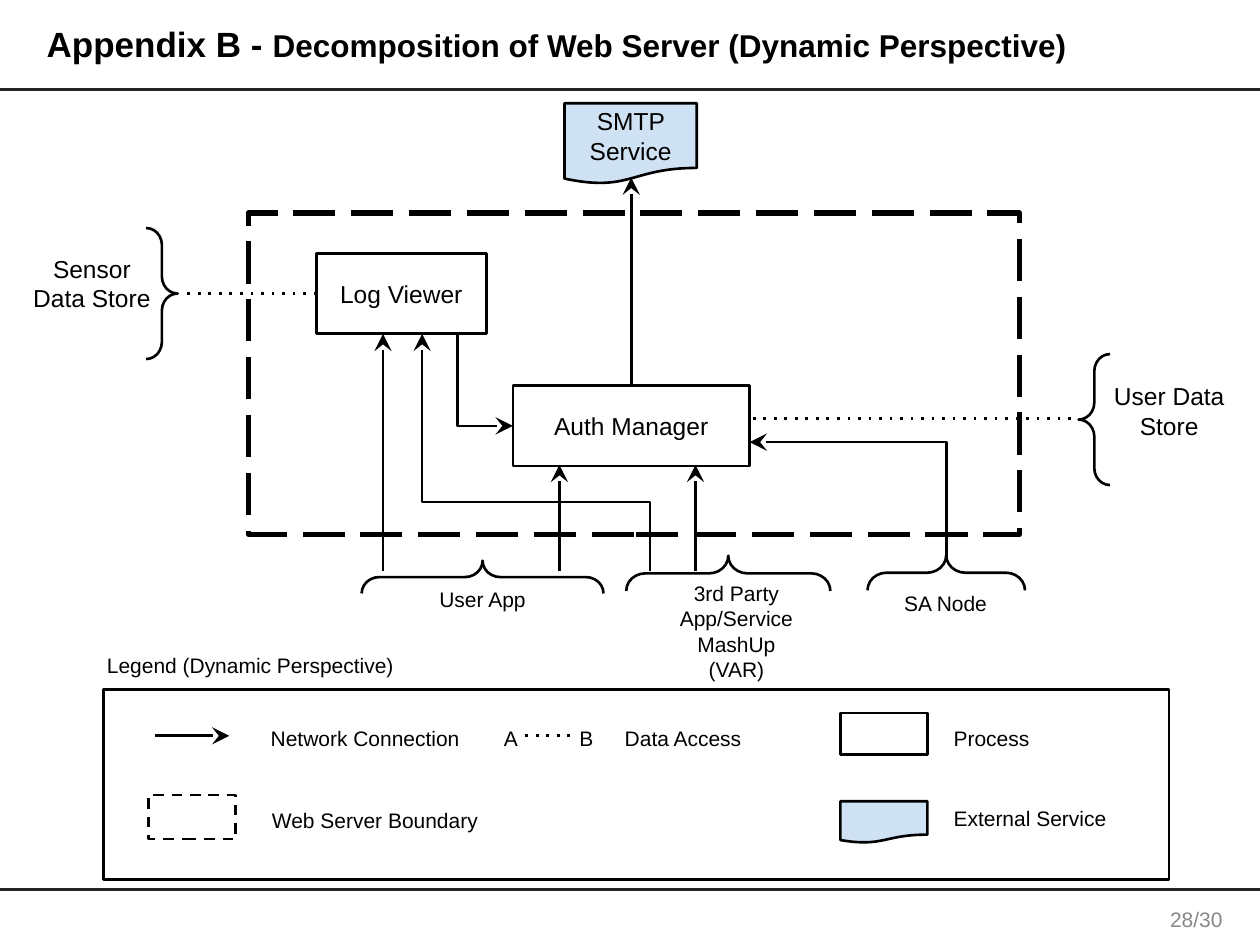
from lxml import etree
from pptx import Presentation, util as u
from pptx.dml.color import RGBColor
from pptx.enum import shapes, text
from pptx.oxml.ns import qn

COLORS = {"ink": "000000", "rule": "262626", "paper": "FFFFFF",
          "service": "CFE2F3", "number": "888888"}
SHAPE = shapes.MSO_SHAPE
LEFT, CENTER = text.PP_ALIGN.LEFT, text.PP_ALIGN.CENTER
TOP, MIDDLE = text.MSO_ANCHOR.TOP, text.MSO_ANCHOR.MIDDLE


class Diagram:
    """Draws the elements of the diagram on one slide in one style."""

    def __init__(self, prs):
        self.s = prs.slides.add_slide(prs.slide_layouts[5])
        self.font = "Arial"

    def color(self, name):
        return RGBColor.from_string(COLORS[name])

    def format_run(self, r, size, color="ink", bold=False):
        r.font.name, r.font.size, r.font.bold = self.font, u.Pt(size), bold
        r.font.color.rgb = self.color(color)

    def frame(self, sp, anchor, inset=0.1):
        tf = sp.text_frame
        tf.word_wrap, tf.vertical_anchor = True, anchor
        tf.auto_size = text.MSO_AUTO_SIZE.NONE
        tf.margin_left = tf.margin_right = u.Inches(0.1)
        tf.margin_top = tf.margin_bottom = u.Inches(inset)
        return tf

    def set_text(self, sp, words, size, align, anchor, color="ink", inset=0.1):
        tf = self.frame(sp, anchor, inset)
        tf.text = words
        for p in tf.paragraphs:
            p.alignment = align
            for r in p.runs:
                self.format_run(r, size, color)

    def title(self, box, parts):
        sp = self.s.shapes.title
        sp.left, sp.top, sp.width, sp.height = map(u.Inches, box)
        p = self.frame(sp, MIDDLE).paragraphs[0]
        p.alignment, p.line_spacing = LEFT, 0.9
        for words, size in parts:
            r = p.add_run()
            r.text = words
            self.format_run(r, size, bold=True)

    def stroke(self, sp, width=1.5, dash=None, arrow=False, color="ink"):
        sp.line.color.rgb = self.color(color)
        sp.line.width = u.Pt(width)
        ln = sp._element.spPr.find(qn("a:ln"))
        if dash:
            etree.SubElement(ln, qn("a:prstDash"), val=dash)
        etree.SubElement(ln, qn("a:round"))
        if arrow:
            etree.SubElement(ln, qn("a:tailEnd"), type="stealth", w="lg", len="lg")

    def shape(self, box, kind=SHAPE.RECTANGLE, fill=None, words="", size=14,
              width=1.5, dash=None):
        sp = self.s.shapes.add_shape(kind, *map(u.Inches, box))
        sp.shadow.inherit = False
        if fill:
            sp.fill.solid()
            sp.fill.fore_color.rgb = self.color(fill)
        else:
            sp.fill.background()
        if width:
            self.stroke(sp, width, dash)
        else:
            sp.line.fill.background()
        if words:
            self.set_text(sp, words, size, CENTER, MIDDLE)
        return sp

    def brace(self, box, rotation=0):
        sp = self.shape(box, SHAPE.RIGHT_BRACE)
        sp.adjustments[0], sp.adjustments[1] = 0.54, 0.5
        sp.rotation = rotation

    def label(self, box, words, size=12, align=LEFT, anchor=TOP, color="ink", inset=0.1):
        sp = self.s.shapes.add_textbox(*map(u.Inches, box))
        self.set_text(sp, words, size, align, anchor, color, inset)

    def line(self, start, end, kind=shapes.MSO_CONNECTOR.STRAIGHT, **style):
        sp = self.s.shapes.add_connector(kind, *map(u.Inches, (*start, *end)))
        self.stroke(sp, **style)
        etree.SubElement(sp._element.spPr, qn("a:effectLst"))
        return sp

    def elbow(self, start, end, bend=None):
        """Draws an arrow that leaves vertically, with a middle bend if given."""
        (x1, y1), (x2, y2) = start, end
        cx, cy = (x1 + x2) / 2, (y1 + y2) / 2
        w, h = abs(y2 - y1) / 2, abs(x2 - x1) / 2
        sp = self.line((cx - w, cy - h), (cx + w, cy + h),
                       shapes.MSO_CONNECTOR.ELBOW, arrow=True)
        xfrm = sp._element.spPr.find(qn("a:xfrm"))
        xfrm.set("rot", str(270 * 60000))
        xfrm.set("flipH", str(int(y2 > y1)))
        xfrm.set("flipV", str(int(x2 < x1)))
        geom = sp._element.spPr.find(qn("a:prstGeom"))
        if bend is None:
            geom.set("prst", "bentConnector2")
        else:
            guides = geom.find(qn("a:avLst"))
            etree.SubElement(guides, qn("a:gd"), name="adj1",
                             fmla=f"val {round(bend * 100000)}")


def main():
    prs = Presentation()
    prs.slide_width, prs.slide_height = u.Inches(10), u.Inches(7.5)
    d = Diagram(prs)

    d.title((0.27, 0.1, 8.52, 0.53),
            [("Appendix B - ", 20),
             ("Decomposition of Web Server (Dynamic Perspective)", 18)])
    for y in (0.71, 7.06):
        d.line((0, y), (10, y), width=1.75, color="rule")
    d.label((9.11, 7.14, 0.77, 0.31), "28/30", align=CENTER, anchor=MIDDLE,
            color="number", inset=0.05)

    d.shape((1.97, 1.69, 6.12, 2.55), width=3, dash="lgDash")
    for box, words in [((4.07, 3.06, 1.88, 0.64), "Auth Manager"),
                       ((2.51, 2.01, 1.35, 0.64), "Log Viewer")]:
        d.shape(box, fill="paper", words=words)
    for box, words, size in [
            ((2.66, 4.6, 2.34, 0.31), "User App", 12),
            ((5.28, 4.63, 1.13, 0.76), "3rd Party App/Service MashUp\v(VAR)", 12),
            ((6.98, 4.47, 1.05, 0.64), "SA Node", 12),
            ((0.16, 1.93, 1.14, 0.64), "Sensor Data Store", 14),
            ((8.71, 2.94, 1.14, 0.64), "User Data Store", 14)]:
        d.shape(box, fill="paper", words=words, size=size, width=None)

    for box, rotation in [((3.7, 3.62, 0.26, 1.92), 270),
                          ((5.64, 3.74, 0.28, 1.62), 270),
                          ((7.37, 3.92, 0.28, 1.25), 270),
                          ((1.16, 1.81, 0.25, 1.04), 0),
                          ((8.56, 2.81, 0.25, 1.04), 180)]:
        d.brace(box, rotation)

    d.shape((4.48, 0.82, 1.05, 0.64), SHAPE.FLOWCHART_DOCUMENT, "service", "SMTP Service")
    for x, y1, y2 in [(3.04, 4.53, 2.65), (4.44, 4.53, 3.69),
                      (5.52, 4.53, 3.69), (5.01, 3.06, 1.41)]:
        d.line((x, y1), (x, y2), arrow=True)
    d.elbow((7.51, 4.41), (5.95, 3.51))
    d.elbow((5.16, 4.53), (3.35, 2.65), bend=0.29)
    d.elbow((3.63, 2.66), (4.07, 3.38))
    d.line((2.51, 2.33), (1.44, 2.33), dash="dot")
    d.line((8.5, 3.32), (5.95, 3.32), dash="dot")

    d.shape((0.82, 5.47, 8.46, 1.51))
    d.line((1.23, 5.84), (1.82, 5.84), arrow=True)
    d.line((4.17, 5.84), (4.55, 5.84), dash="dot")
    d.shape((6.67, 5.66, 0.69, 0.33), fill="paper")
    d.shape((6.67, 6.36, 0.69, 0.33), SHAPE.FLOWCHART_DOCUMENT, "service")
    d.shape((1.18, 6.31, 0.69, 0.35), fill="paper", dash="dash")
    for x, y, w, words in [(0.75, 5.08, 2.58, "Legend (Dynamic Perspective)"),
                           (2.05, 5.66, 1.85, "Network Connection"),
                           (3.9, 5.66, 0.27, "A"),
                           (4.5, 5.66, 0.27, "B"),
                           (4.86, 5.66, 1.85, "Data Access"),
                           (7.47, 5.66, 0.84, "Process"),
                           (2.06, 6.31, 1.85, "Web Server Boundary"),
                           (7.47, 6.29, 1.47, "External Service")]:
        d.label((x, y, w, 0.35), words)

    prs.save("out.pptx")


if __name__ == "__main__":
    main()
